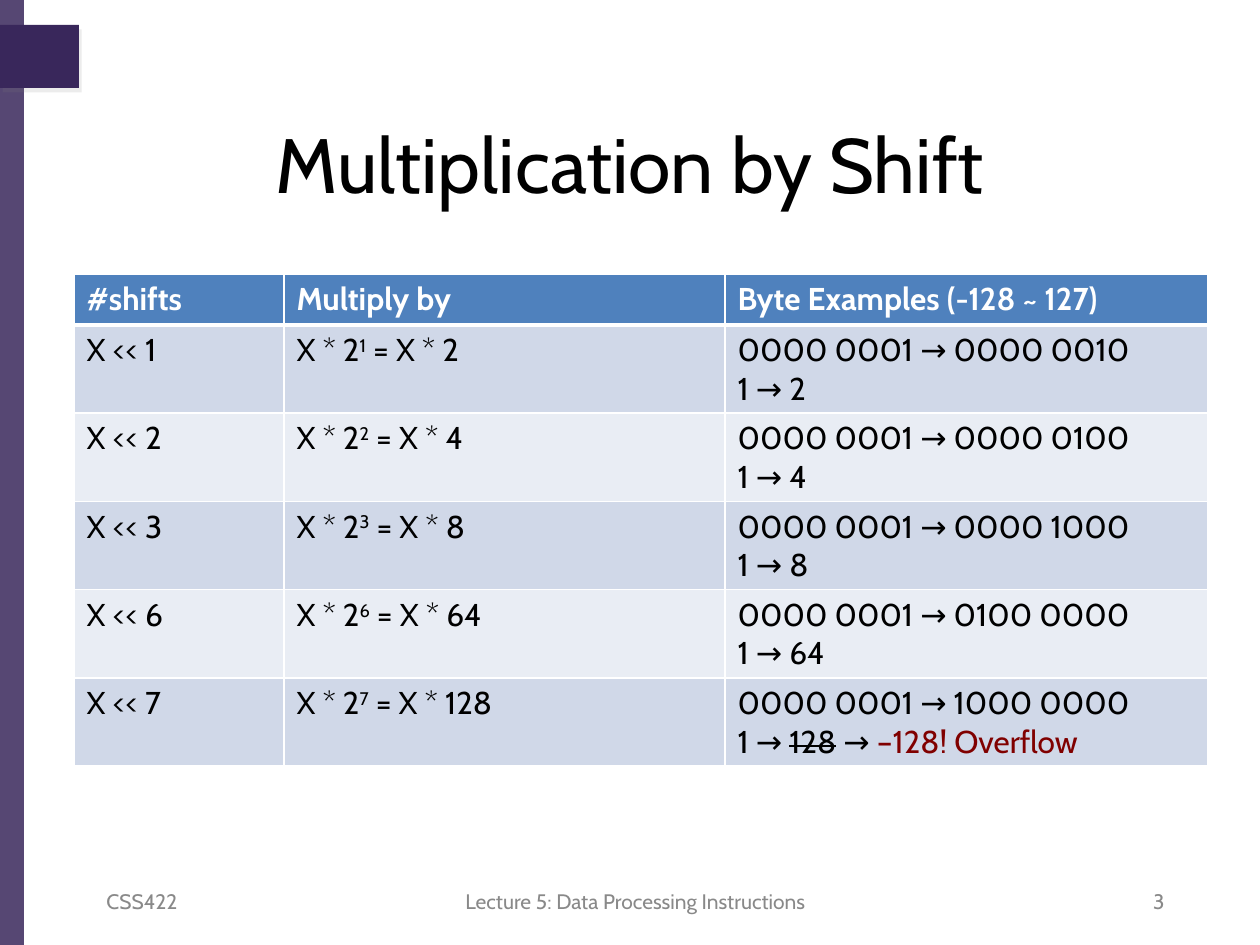
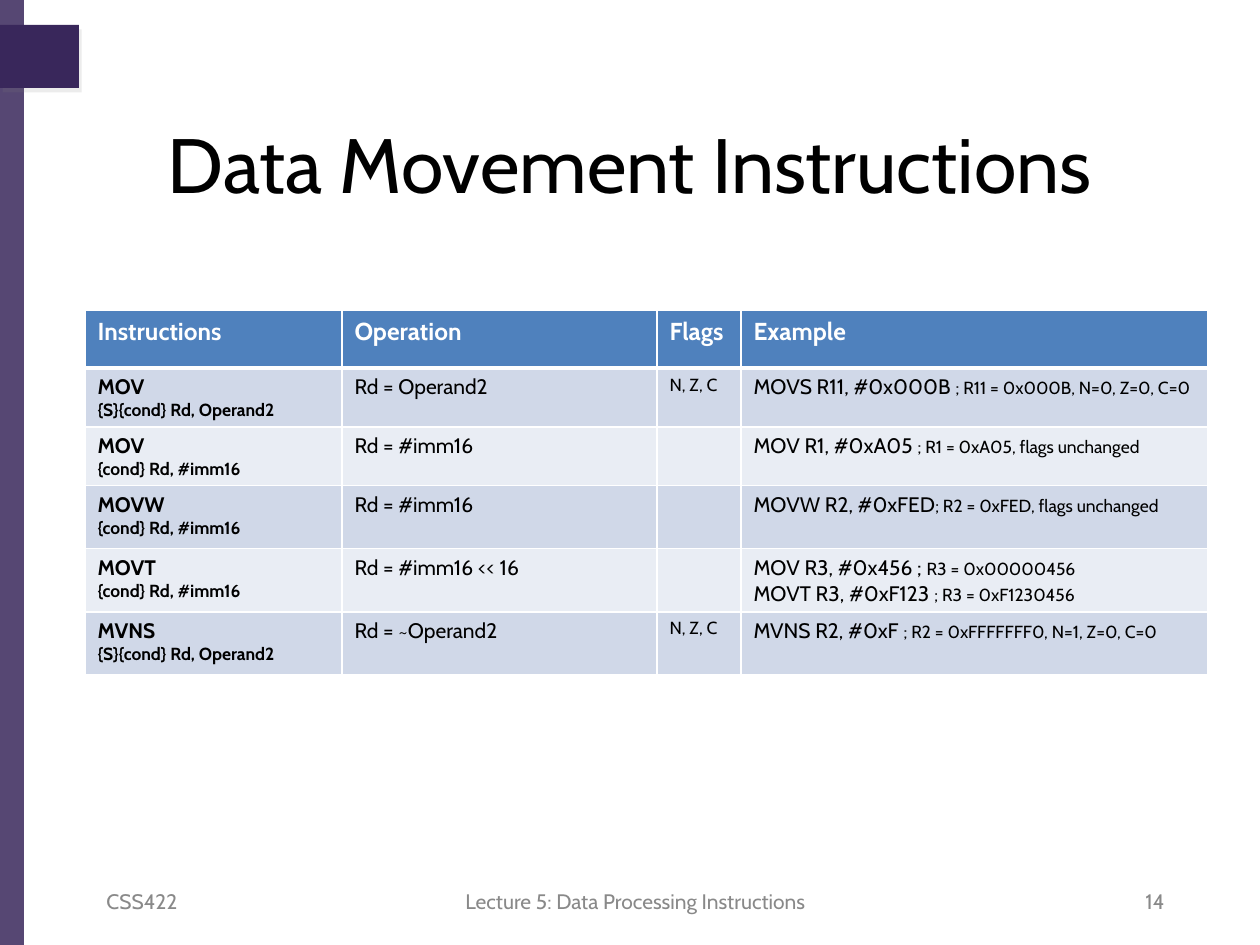
from lxml.etree import SubElement
from pptx import Presentation
from pptx.dml.color import RGBColor
from pptx.enum.shapes import MSO_SHAPE as Shape
from pptx.enum.text import MSO_ANCHOR as Anchor, PP_ALIGN as Align
from pptx.oxml.ns import qn
from pptx.util import Emu, Pt

FONT = "Cabin"
COLORS = {
    "purple": "39275B", "shadow": "808080", "black": "000000", "white": "FFFFFF",
    "footer": "898989", "header": "4F81BD", "odd": "D0D8E8", "even": "E9EDF4",
    "overflow": "800000",
}

# Content: a cell is a list of lines, a line is a list of (text, style) spans
SPAN_STYLES = {
    "plain": {}, "small": {"size": 10}, "raised": {"baseline": "30000"},
    "struck": {"strike": "sngStrike"}, "overflow": {"color": "overflow"},
    "name": {"bold": True}, "syntax": {"bold": True, "size": 10},
}
COURSE = "CSS422"
LECTURE = "Lecture 5: Data Processing Instructions"
SHIFTS = [
    ("1", "2", "0000 0010", [("1 → 2", "plain")]),
    ("2", "4", "0000 0100", [("1 → 4", "plain")]),
    ("3", "8", "0000 1000", [("1 → 8", "plain")]),
    ("6", "64", "0100 0000", [("1 → 64", "plain")]),
    ("7", "128", "1000 0000", [("1 → ", "plain"), ("128", "struck"),
                               (" → ", "plain"), ("–128! Overflow", "overflow")]),
]
# Name, syntax, operation, flags, example lines as (code, comment)
MOVES = [
    ("MOV", "{S}{cond} Rd, Operand2", "Rd = Operand2", "N, Z, C",
     [("MOVS R11, #0x000B ", "; R11 = 0x000B, N=0, Z=0, C=0")]),
    ("MOV", "{cond} Rd, #imm16", "Rd = #imm16", "",
     [("MOV R1, #0xA05 ", "; R1 = 0xA05, flags unchanged")]),
    ("MOVW", "{cond} Rd, #imm16", "Rd = #imm16", "",
     [("MOVW R2, #0xFED", "; R2 = 0xFED, flags unchanged")]),
    ("MOVT", "{cond} Rd, #imm16", "Rd = #imm16 << 16", "",
     [("MOV R3, #0x456 ; ", "R3 = 0x00000456"),
      ("MOVT R3, #0xF123 ", "; R3 = 0xF1230456")]),
    ("MVNS", "{S}{cond} Rd, Operand2", "Rd = ~Operand2", "N, Z, C",
     [("MVNS R2, #0xF ", "; R2 = 0xFFFFFFF0, N=1, Z=0, C=0")]),
]


def shift_cells(count, factor, result, values):
    return [
        [[(f"X << {count}", "plain")]],
        [[("X * 2", "plain"), (count, "raised"), (f" = X * {factor}", "plain")]],
        [[(f"0000 0001 → {result}", "plain")], values],
    ]


def move_cells(name, syntax, operation, flags, examples):
    return [
        [[(name, "name")], [(syntax, "syntax")]],
        [[(operation, "plain")]],
        [[(flags, "small")]] if flags else [],
        [[(code, "plain"), (comment, "small")] for code, comment in examples],
    ]


PAGES = [
    {"title": "Multiplication by Shift", "number": "3", "corner": (74, 274),
     "columns": [210, 441, 483], "rows": [51] * 6, "sizes": (18, 18),
     "header": ["#shifts", "Multiply by", "Byte Examples (-128 ~ 127)"],
     "body": [shift_cells(*shift) for shift in SHIFTS]},
    {"title": "Data Movement Instructions", "number": "14", "corner": (85, 310),
     "columns": [257, 315, 84, 467], "rows": [58, 57, 57, 63, 57, 63], "sizes": (14, 12),
     "header": ["Instructions", "Operation", "Flags", "Example"],
     "body": [move_cells(*move) for move in MOVES]},
]


# Helpers
def px(length):
    return Emu(round(length * 914400 / 126))


def rgb(name):
    return RGBColor.from_string(COLORS[name])


def set_font(font, size=None, color=None, bold=None):
    if size:
        font.size = Pt(size)
    if color:
        font.color.rgb = rgb(color)
    if bold is not None:
        font.bold = bold


def format_para(para, size, color, bold=False):
    para.font.name = FONT
    set_font(para.font, size, color, bold)


def add_color(parent, name, alpha=None):
    color = SubElement(parent, qn("a:srgbClr"), val=COLORS[name])
    if alpha:
        SubElement(color, qn("a:alpha"), val=str(alpha * 1000))
    return color


# Shared frame: bands, title, footers
def add_band(page, *place):
    band = page.shapes.add_shape(Shape.RECTANGLE, *map(px, place))
    band.shadow.inherit = False
    band.fill.solid()
    band.fill.fore_color.rgb = rgb("purple")
    band.line.fill.background()
    return band


def add_frame(page, title, number):
    side = add_band(page, 0, 0, 24, 945)
    side_color = side._element.spPr.find(qn("a:solidFill"))[0]
    SubElement(side_color, qn("a:alpha"), val="85000")

    tab = add_band(page, 0, 25, 79, 63)
    effects = tab._element.spPr.find(qn("a:effectLst"))
    shadow = SubElement(effects, qn("a:outerShdw"), blurRad="0", dist=str(Pt(3)),
                        dir=str(60 * 60000), rotWithShape="0")
    add_color(shadow, "shadow", 15)

    heading = page.shapes.title
    heading.left, heading.top, heading.width, heading.height = map(px, (63, 105, 1134, 116))
    heading.text_frame.text = title
    heading.text_frame.vertical_anchor = Anchor.MIDDLE
    para = heading.text_frame.paragraphs[0]
    para.alignment = Align.CENTER
    format_para(para, 44, "black")

    for text, left, width, align in [(COURSE, 94, 294, Align.LEFT),
                                     (LECTURE, 436, 399, Align.CENTER),
                                     (number, 883, 294, Align.RIGHT)]:
        frame = page.shapes.add_textbox(px(left), px(876), px(width), px(50)).text_frame
        frame.word_wrap = True
        frame.vertical_anchor = Anchor.MIDDLE
        frame.text = text
        frame.paragraphs[0].alignment = align
        format_para(frame.paragraphs[0], 12, "footer")


# Tables
def style_cell(cell, row):
    properties = cell._tc.get_or_add_tcPr()
    thick_side = {0: "lnB", 1: "lnT"}.get(row)
    for side in ("lnL", "lnR", "lnT", "lnB"):
        width = Pt(3 if side == thick_side else 1)
        line = SubElement(properties, qn(f"a:{side}"), w=str(width))
        add_color(SubElement(line, qn("a:solidFill")), "white")
    cell.fill.solid()
    cell.fill.fore_color.rgb = rgb("header" if row == 0 else "odd" if row % 2 else "even")


def fill_cell(cell, lines, size, color, bold):
    frame = cell.text_frame
    for index, spans in enumerate(lines):
        para = frame.add_paragraph() if index else frame.paragraphs[0]
        format_para(para, size, color, bold)
        for text, style_name in spans:
            span = para.add_run()
            span.text = text
            style = dict(SPAN_STYLES[style_name])
            for attribute in ("baseline", "strike"):
                if attribute in style:
                    span._r.get_or_add_rPr().set(attribute, style.pop(attribute))
            set_font(span.font, **style)


def add_grid(page, corner, columns, rows, sizes, header, body):
    table = page.shapes.add_table(len(rows), len(columns), *map(px, corner),
                                  px(sum(columns)), px(sum(rows))).table
    for column, width in zip(table.columns, columns):
        column.width = px(width)
    for row, height in zip(table.rows, rows):
        row.height = px(height)
    header_cells = [[[(label, "plain")]] for label in header]
    for row, cells in enumerate([header_cells, *body]):
        is_header = row == 0
        for column, lines in enumerate(cells):
            cell = table.cell(row, column)
            style_cell(cell, row)
            fill_cell(cell, lines, sizes[0 if is_header else 1],
                      "white" if is_header else "black", is_header)


def main():
    deck = Presentation()
    deck.slide_width, deck.slide_height = px(1260), px(945)
    for content in PAGES:
        page = deck.slides.add_slide(deck.slide_layouts[5])
        add_frame(page, content["title"], content["number"])
        add_grid(page, content["corner"], content["columns"], content["rows"],
                 content["sizes"], content["header"], content["body"])
    deck.save("out.pptx")


if __name__ == "__main__":
    main()
